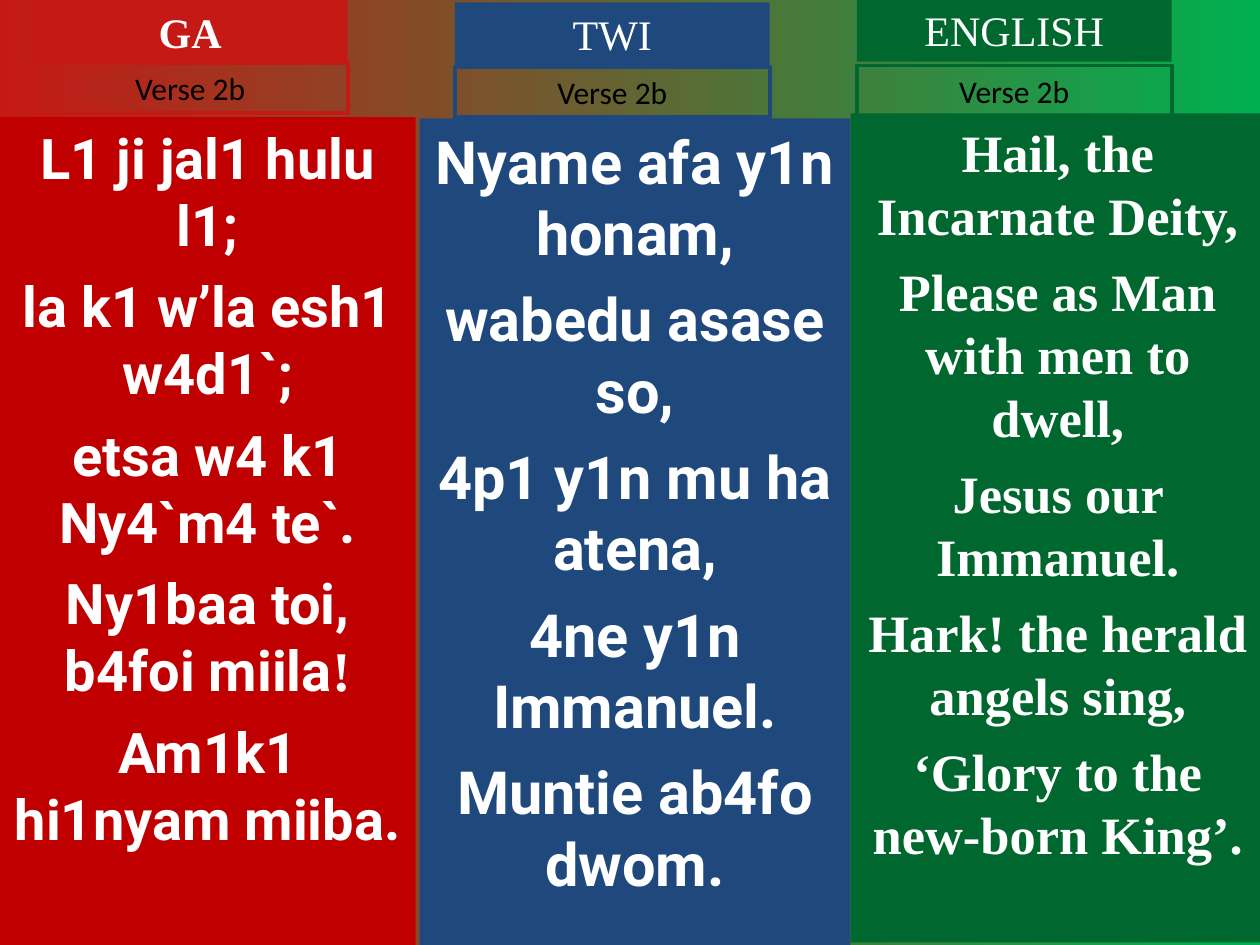
from dataclasses import dataclass

from pptx import Presentation
from pptx import util as u
from pptx.dml.color import RGBColor
from pptx.enum import shapes, text


@dataclass(frozen=True)
class Theme:
    scarlet: str = "C51915"
    red: str = "C00000"
    blue: str = "1F497D"
    green: str = "00682F"
    bright_green: str = "00B050"
    white: str = "FFFFFF"
    black: str = "000000"
    sans: str = "Roboto"
    serif: str = "Times New Roman"
    label: str = "Calibri"
    title_size: int = 24
    label_size: int = 18
    ga_size: int = 32
    twi_size: int = 34
    english_size: int = 30
    border: float = 2.25


THEME = Theme()


def add_text(para, words, *, font, size, color, bold=False):
    span = para.add_run()
    span.text = words
    span.font.name = font
    span.font.size = u.Pt(size)
    span.font.bold = bold
    span.font.color.rgb = RGBColor.from_string(color)


class HymnPage:
    def __init__(self, deck, theme):
        self.theme = theme
        self.page = deck.slides.add_slide(deck.slide_layouts[6])

    def background(self, start, end):
        fill = self.page.background.fill
        fill.gradient()
        fill.gradient_angle = 0
        for stop, color in zip(fill.gradient_stops, (start, end)):
            stop.color.rgb = RGBColor.from_string(color)

    def box(self, left, top, width, height, *, fill=None, line=None):
        box = self.page.shapes.add_shape(
            shapes.MSO_SHAPE.RECTANGLE,
            u.Inches(left), u.Inches(top), u.Inches(width), u.Inches(height))
        box.shadow.inherit = False
        if fill:
            box.fill.solid()
            box.fill.fore_color.rgb = RGBColor.from_string(fill)
        else:
            box.fill.background()
        if line:
            box.line.color.rgb = RGBColor.from_string(line)
            box.line.width = u.Pt(self.theme.border)
        else:
            box.line.fill.background()
        frame = box.text_frame
        frame.word_wrap = True
        frame.vertical_anchor = text.MSO_ANCHOR.TOP
        frame.paragraphs[0].alignment = text.PP_ALIGN.CENTER
        return frame

    def title(self, left, top, words, color, bold=False):
        frame = self.box(left, top, 2.5, 0.5, fill=color)
        add_text(frame.paragraphs[0], words, font=self.theme.serif,
                 size=self.theme.title_size, color=self.theme.white, bold=bold)

    def verse_label(self, left, top, color):
        frame = self.box(left, top, 2.5, 0.4, line=color)
        add_text(frame.paragraphs[0], "Verse 2b", font=self.theme.label,
                 size=self.theme.label_size, color=self.theme.black)

    def verse(self, place, lines, *, fill, font, size):
        frame = self.box(*place, fill=fill)
        for index, line in enumerate(lines):
            para = frame.paragraphs[0]
            if index:
                para = frame.add_paragraph()
                para.alignment = text.PP_ALIGN.CENTER
                para.space_before = u.Pt(size / 4)
            words = line.rstrip("!")
            style = dict(size=size, color=self.theme.white, bold=True)
            add_text(para, words, font=font, **style)
            if words != line:
                add_text(para, "!", font=self.theme.serif, **style)


def main():
    deck = Presentation()
    deck.slide_width, deck.slide_height = u.Inches(10), u.Inches(7.5)
    hymn = HymnPage(deck, THEME)
    hymn.background(THEME.scarlet, THEME.bright_green)

    hymn.verse((0, 0.93, 3.3, 6.57), [
        "L1 ji jal1 hulu l1;",
        "la k1 w’la esh1 w4d1`;",
        "etsa w4 k1 Ny4`m4 te`.",
        "Ny1baa toi, b4foi miila!",
        "Am1k1 hi1nyam miiba.",
    ], fill=THEME.red, font=THEME.sans, size=THEME.ga_size)
    hymn.verse((3.33, 0.94, 3.42, 6.56), [
        "Nyame afa y1n honam,",
        "wabedu asase so,",
        "4p1 y1n mu ha atena,",
        "4ne y1n Immanuel.",
        "Muntie ab4fo dwom.",
    ], fill=THEME.blue, font=THEME.sans, size=THEME.twi_size)
    hymn.verse((6.75, 0.9, 3.29, 6.58), [
        "Hail, the Incarnate Deity,",
        "Please as Man with men to dwell,",
        "Jesus our Immanuel.",
        "Hark! the herald angels sing,",
        "‘Glory to the new-born King’.",
    ], fill=THEME.green, font=THEME.serif, size=THEME.english_size)

    headings = [
        ("GA", 0.26, 0, 0.5, THEME.scarlet, True),
        ("TWI", 3.61, 0.02, 0.53, THEME.blue, False),
        ("ENGLISH", 6.8, -0.01, 0.52, THEME.green, False),
    ]
    for language, left, title_top, label_top, color, bold in headings:
        hymn.title(left, title_top, language, color, bold)
        hymn.verse_label(left, label_top, color)

    deck.save("out.pptx")


if __name__ == "__main__":
    main()
